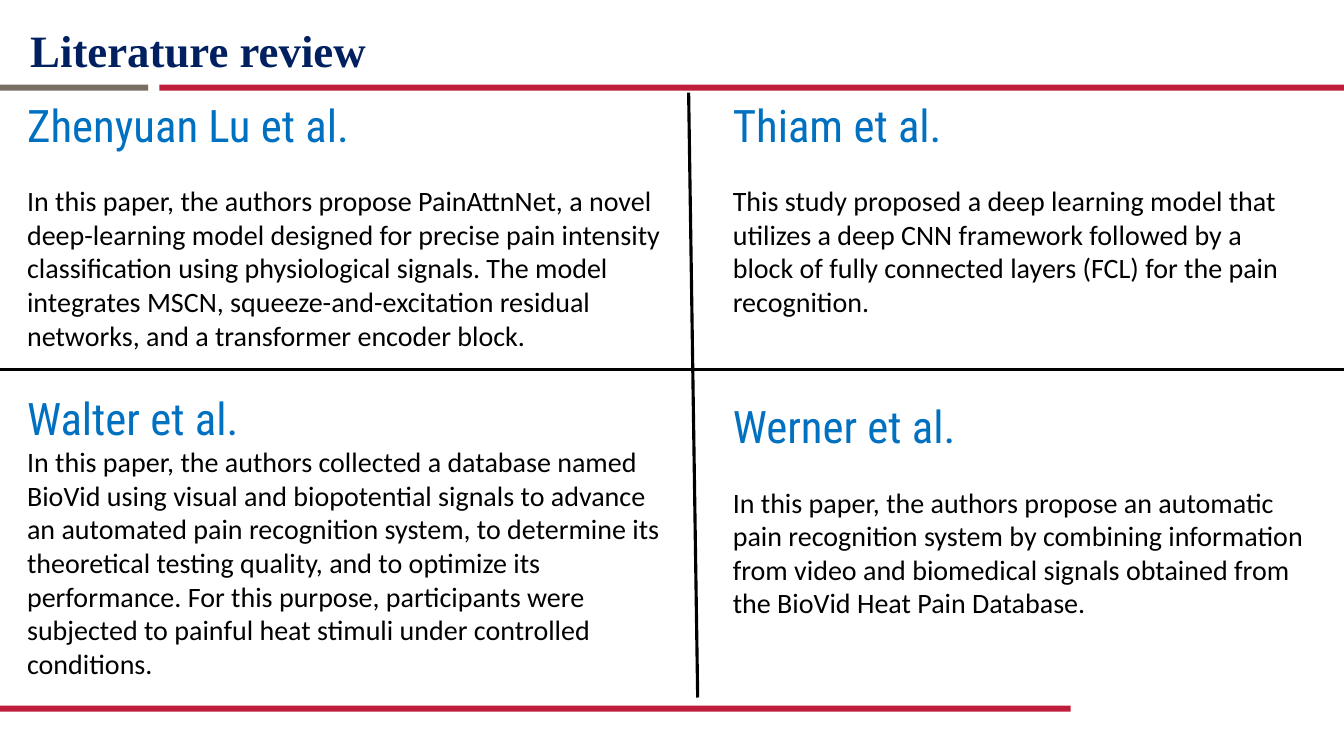
from lxml import etree
from pptx import Presentation
from pptx.dml.color import RGBColor
from pptx.enum.shapes import MSO_CONNECTOR, MSO_SHAPE
from pptx.enum.text import MSO_ANCHOR, PP_ALIGN
from pptx.oxml.ns import qn
from pptx.util import Pt

STRAIGHT = MSO_CONNECTOR.STRAIGHT
RECTANGLE = MSO_SHAPE.RECTANGLE
LEFT, BOTTOM = PP_ALIGN.LEFT, MSO_ANCHOR.BOTTOM

EMU_PER_PX = 9144  # 100 px to the inch
WIDTH, HEIGHT = 1333, 750
RED, GREY, NAVY, BLUE, BLACK = "BE1E3C", "786E64", "002060", "0070C0", "000000"

TITLE = "Literature review"
TITLE_BOX = (30, 22, 923, 54)
BAR_HEIGHT = 6
BARS = [  # left, top, width, colour
    (158, 84, WIDTH - 158, RED),
    (0, 84, 147, GREY),
    (0, 700, 1062, RED),
]
DIVIDERS = [(683, 92, 692, 692), (0, 367, WIDTH, 367)]
REVIEWS = [  # box, gap under the heading in points, authors, summary
    ((17, 92, 658, 266), 23, "Zhenyuan Lu et al.",
     "In this paper, the authors propose PainAttnNet, a novel deep-learning model "
     "designed for precise pain intensity classification using physiological signals. "
     "The model integrates MSCN, squeeze-and-excitation residual networks, and a "
     "transformer encoder block."),
    ((717, 92, 576, 263), 23, "Thiam et al.",
     "This study proposed a deep learning model that utilizes a deep CNN framework "
     "followed by a block of fully connected layers (FCL) for the pain recognition."),
    ((17, 383, 658, 300), 0, "Walter et al.",
     "In this paper, the authors collected a database named BioVid using visual and "
     "biopotential signals to advance an automated pain recognition system, to determine "
     "its theoretical testing quality, and to optimize its performance. For this purpose, "
     "participants were subjected to painful heat stimuli under controlled conditions."),
    ((717, 391, 600, 232), 23, "Werner et al.",
     "In this paper, the authors propose an automatic pain recognition system by "
     "combining information from video and biomedical signals obtained from "
     "the BioVid Heat Pain Database."),
]


def px(*lengths):
    return [length * EMU_PER_PX for length in lengths]


def rgb(colour):
    return RGBColor.from_string(colour)


def format_text(paragraph, size, font_name, colour, bold=False):
    paragraph.alignment = LEFT
    for run in paragraph.runs:
        run.font.size = Pt(size)
        run.font.name = font_name
        run.font.bold = bold
        run.font.color.rgb = rgb(colour)


def add_bar(slide, left, top, width, colour):
    bar = slide.shapes.add_shape(RECTANGLE, *px(left, top, width, BAR_HEIGHT))
    bar.shadow.inherit = False
    bar.fill.solid()
    bar.fill.fore_color.rgb = rgb(colour)
    bar.line.fill.background()


def set_title(slide):
    title = slide.shapes.title
    title.left, title.top, title.width, title.height = px(*TITLE_BOX)
    frame = title.text_frame
    frame.margin_left = frame.margin_right = frame.margin_top = frame.margin_bottom = 0
    frame.vertical_anchor = BOTTOM
    frame.text = TITLE
    format_text(frame.paragraphs[0], 32, "Times New Roman", NAVY, bold=True)


def add_divider(slide, *ends):
    divider = slide.shapes.add_connector(STRAIGHT, *px(*ends))
    divider.line.color.rgb = rgb(BLACK)
    divider.line.width = Pt(2.25)
    etree.SubElement(divider._element.spPr, qn("a:effectLst"))


def add_review(slide, box, gap, authors, summary):
    frame = slide.shapes.add_textbox(*px(*box)).text_frame
    frame.word_wrap = True
    heading = frame.paragraphs[0]
    heading.text = authors
    format_text(heading, 32, "Roboto Condensed", BLUE)
    body = frame.add_paragraph()
    body.text = summary
    body.space_before = Pt(gap)
    format_text(body, 20, "Calibri", BLACK)


def main():
    presentation = Presentation()
    presentation.slide_width, presentation.slide_height = px(WIDTH, HEIGHT)
    title_only = presentation.slide_layouts[5]
    slide = presentation.slides.add_slide(title_only)
    for bar in BARS:
        add_bar(slide, *bar)
    set_title(slide)
    for ends in DIVIDERS:
        add_divider(slide, *ends)
    for review in REVIEWS:
        add_review(slide, *review)
    presentation.save("out.pptx")


if __name__ == "__main__":
    main()
